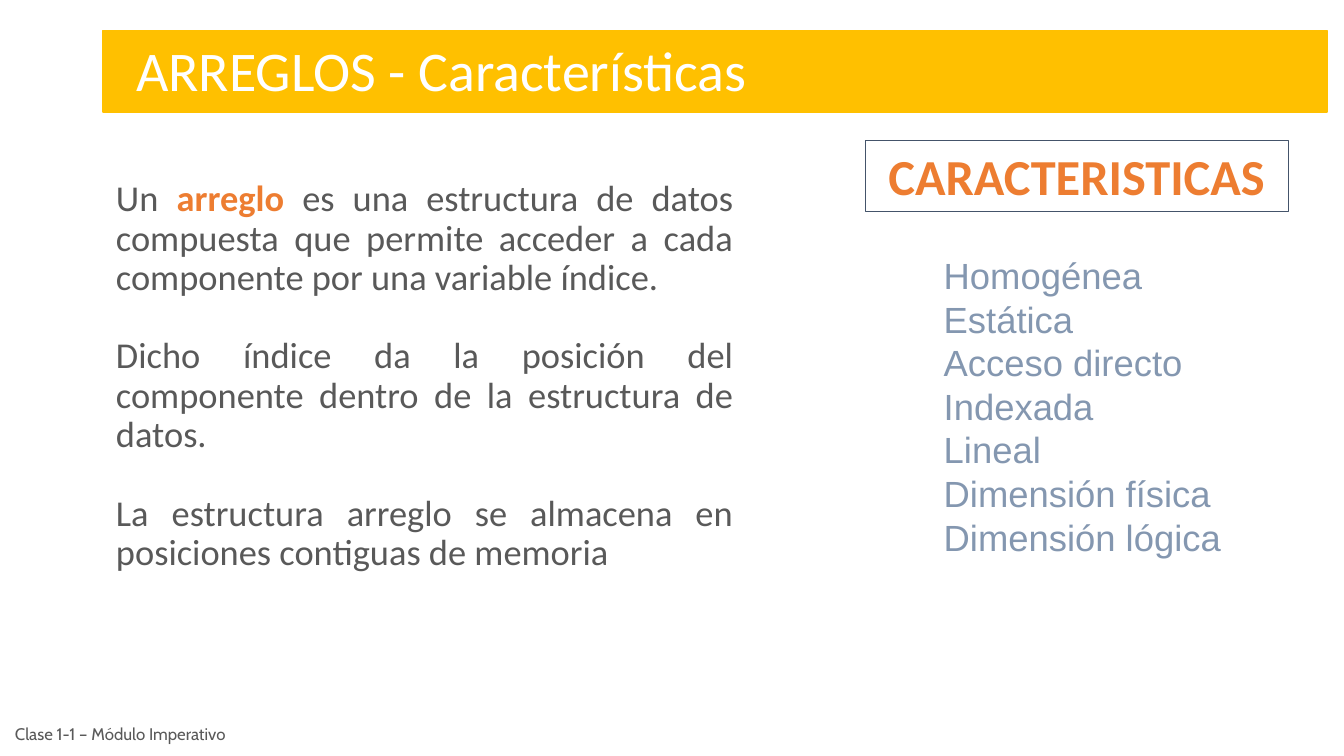
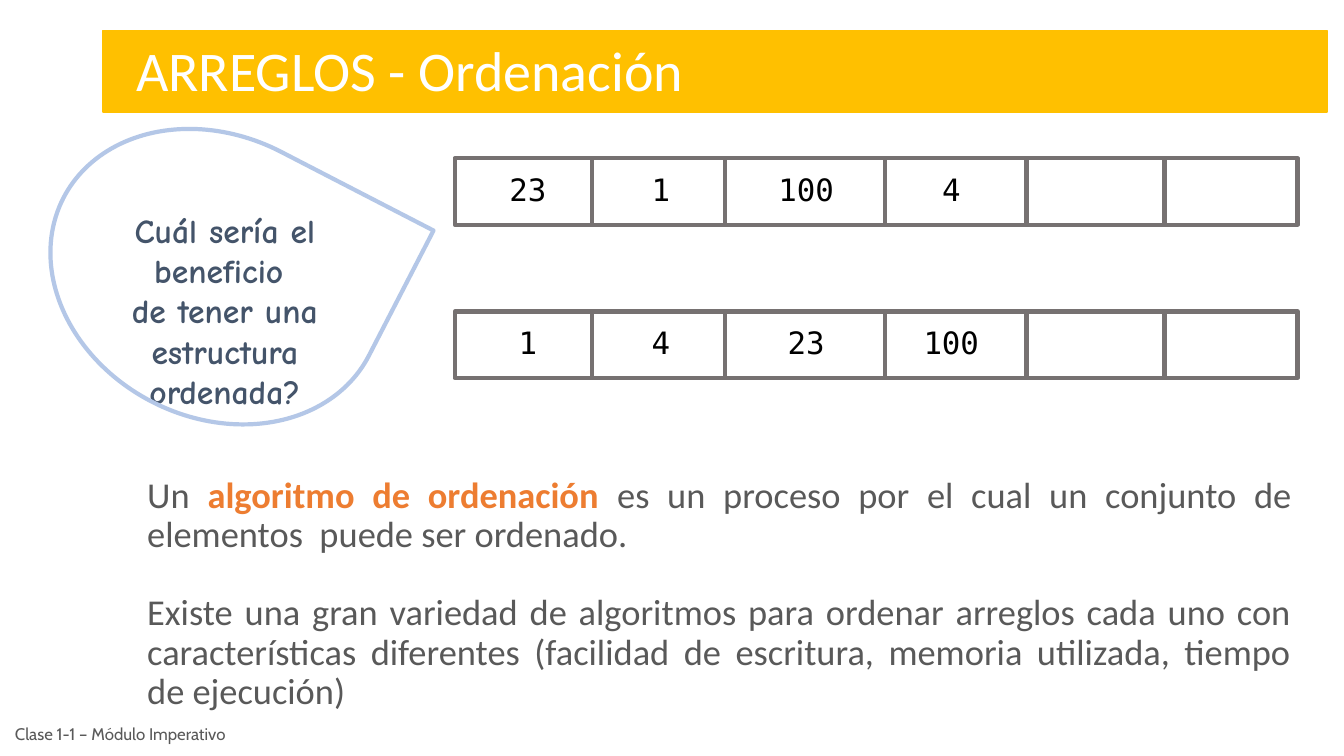
from dataclasses import dataclass

from lxml.etree import SubElement
from pptx import Presentation
from pptx.dml.color import RGBColor
from pptx.enum.shapes import MSO_CONNECTOR as Connector, MSO_SHAPE as Shape
from pptx.enum.text import MSO_ANCHOR as Anchor, MSO_AUTO_SIZE as AutoSize, PP_ALIGN as Align
from pptx.oxml.ns import qn
from pptx.util import Emu, Pt

PX = 9144

WHITE = RGBColor(0xFF, 0xFF, 0xFF)
BLACK = RGBColor(0x00, 0x00, 0x00)
YELLOW = RGBColor(0xFF, 0xC0, 0x00)
ORANGE = RGBColor(0xED, 0x7D, 0x31)
GRAY = RGBColor(0x59, 0x59, 0x59)
CELL_GRAY = RGBColor(0x76, 0x71, 0x71)
NAVY = RGBColor(0x44, 0x54, 0x6A)
STEEL = RGBColor(0x84, 0x97, 0xB0)
LIGHT_BLUE = RGBColor(0xB4, 0xC7, 0xE7)

FOOTER = "Clase 1-1 – Módulo Imperativo"
CELL_WIDTHS = [136, 132, 159, 140, 137, 132]
VALUE_SPANS = [(22, 101), (154, 101), (297, 103), (440, 105)]


@dataclass(frozen=True)
class TextStyle:
    font: str
    size: int
    color: RGBColor
    bold: bool = False
    align: Align = Align.LEFT
    spacing: float = 1.0
    gap: int = 0


TITLE = TextStyle("Calibri", 40, WHITE)
BODY = TextStyle("Calibri", 26, GRAY, align=Align.JUSTIFY, spacing=0.9, gap=28)
HEADING = TextStyle("Calibri", 36, ORANGE, bold=True, align=Align.CENTER)
FEATURE = TextStyle("Arial", 26, STEEL)
QUESTION = TextStyle("Comic Neue", 24, NAVY, bold=True, align=Align.CENTER)
VALUE = TextStyle("DejaVu Sans Mono", 22, BLACK, align=Align.CENTER)
NOTE = TextStyle("Cabin", 12, GRAY)


def emu(*lengths):
    return [Emu(length * PX) for length in lengths]


def place(shape, box):
    shape.left, shape.top, shape.width, shape.height = emu(*box)


def outline(shape, color, width):
    shape.line.color.rgb = color
    shape.line.width = Pt(width)


def write(shape, paragraphs, style, anchor=Anchor.TOP):
    frame = shape.text_frame
    frame.word_wrap = True
    frame.auto_size = AutoSize.NONE
    frame.vertical_anchor = anchor
    for index, parts in enumerate(paragraphs):
        para = frame.paragraphs[0] if index == 0 else frame.add_paragraph()
        para.alignment = style.align
        para.line_spacing = style.spacing
        para.space_before = Pt(style.gap if index else 0)
        para.font.name = style.font
        para.font.size = Pt(style.size)
        para.font.bold = style.bold
        para.font.color.rgb = style.color
        for position, text in enumerate([parts] if isinstance(parts, str) else parts):
            span = para.add_run()
            span.text = text
            if position % 2:
                span.font.bold = True
                span.font.color.rgb = ORANGE


def add_text(page, box, paragraphs, style, anchor=Anchor.TOP):
    shape = page.shapes.add_textbox(*emu(*box))
    write(shape, paragraphs, style, anchor)
    return shape


def fill_body(holder, box, paragraphs, style):
    place(holder, box)
    write(holder, paragraphs, style)
    for para in holder.text_frame.paragraphs:
        properties = para._p.get_or_add_pPr()
        properties.set("marL", "0")
        properties.set("indent", "0")
        properties.insert_element_before(
            properties.makeelement(qn("a:buNone")), "a:tabLst", "a:defRPr", "a:extLst")


def add_page(deck, layout, title):
    page = deck.slides.add_slide(deck.slide_layouts.get_by_name(layout))
    band = page.shapes.title
    place(band, (102, 30, 1214, 81))
    band.fill.solid()
    band.fill.fore_color.rgb = YELLOW
    outline(band, YELLOW, 1)
    write(band, [title], TITLE)
    band.text_frame.margin_left = Emu(33 * PX)
    add_text(page, (5, 705, 319, 45), [FOOTER], NOTE, Anchor.MIDDLE)
    return page


def add_outline(page, preset, box, color, width):
    shape = page.shapes.add_shape(preset, *emu(*box))
    shape.shadow.inherit = False
    shape.fill.background()
    outline(shape, color, width)
    return shape


def add_divider(page, x, top, height):
    line = page.shapes.add_connector(Connector.STRAIGHT, *emu(x, top, x, top + height))
    outline(line, CELL_GRAY, 3)
    SubElement(line._element.spPr, qn("a:effectLst"))


def add_array(page, left, top, values):
    height = 66
    add_outline(page, Shape.RECTANGLE, (left, top, sum(CELL_WIDTHS), height), CELL_GRAY, 3)
    for count in range(1, len(CELL_WIDTHS)):
        add_divider(page, left + sum(CELL_WIDTHS[:count]), top, height)
    for value, (offset, width) in zip(values, VALUE_SPANS):
        add_text(page, (left + offset, top + 7, width, 47), [value], VALUE)


def add_question(page, left, top):
    add_text(page, (left + 17, top + 68, 324, 212),
             ["Cuál sería el beneficio ", "de tener una estructura ordenada?"], QUESTION)
    bubble = add_outline(page, Shape.TEAR, (left, top, 341, 279), LIGHT_BLUE, 3)
    bubble.rotation = 27.3


def add_features_page(deck):
    page = add_page(deck, "Two Content", "ARREGLOS - Características")
    definition, features = list(page.placeholders)[1:]
    fill_body(definition, (105, 174, 633, 461), [
        ["Un ", "arreglo", " es una estructura de datos compuesta que permite acceder "
         "a cada componente por una variable índice."],
        "Dicho índice da la posición del componente dentro de la estructura de datos.",
        "La estructura arreglo se almacena en posiciones contiguas de memoria",
    ], BODY)
    heading = add_text(page, (858, 139, 420, 71), ["CARACTERISTICAS"], HEADING)
    outline(heading, NAVY, 0.75)
    fill_body(features, (926, 246, 352, 316), [
        "Homogénea", "Estática", "Acceso directo", "Indexada", "Lineal",
        "Dimensión física", "Dimensión lógica",
    ], FEATURE)


def add_sorting_page(deck):
    page = add_page(deck, "Title and Content", "ARREGLOS - Ordenación")
    add_question(page, 44, 135)
    for top, values in ((157, ["23", "1", "100", "4"]), (309, ["1", "4", "23", "100"])):
        add_array(page, 451, top, values)
    fill_body(page.placeholders[1], (136, 468, 1156, 238), [
        ["Un ", "algoritmo de ordenación ", "es un proceso por el cual un conjunto de "
         "elementos  puede ser ordenado."],
        "Existe una gran variedad de algoritmos para ordenar arreglos cada uno con "
        "características diferentes (facilidad de escritura, memoria utilizada, "
        "tiempo de ejecución)",
    ], BODY)


def main():
    deck = Presentation()
    deck.slide_width, deck.slide_height = emu(1333, 750)
    add_features_page(deck)
    add_sorting_page(deck)
    deck.save("out.pptx")


if __name__ == "__main__":
    main()
